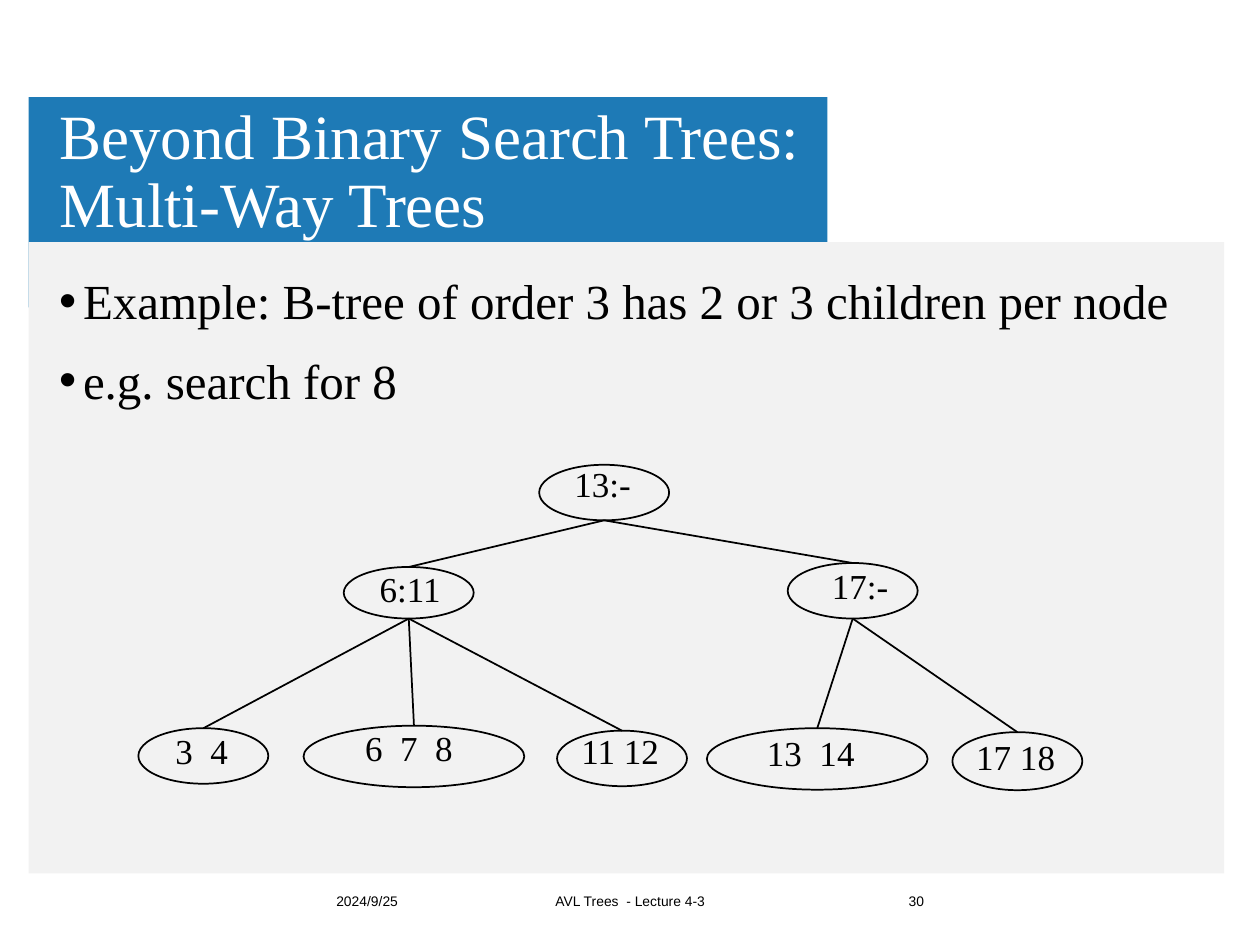
from lxml import etree
from pptx import Presentation
from pptx.dml.color import RGBColor
from pptx.enum.shapes import MSO_CONNECTOR, MSO_SHAPE
from pptx.enum.text import MSO_ANCHOR, MSO_AUTO_SIZE, PP_ALIGN
from pptx.oxml.ns import qn
from pptx.util import Cm, Pt

RECT, OVAL = MSO_SHAPE.RECTANGLE, MSO_SHAPE.OVAL
STRAIGHT = MSO_CONNECTOR.STRAIGHT
MIDDLE, TOP = MSO_ANCHOR.MIDDLE, MSO_ANCHOR.TOP
LEFT, CENTER, RIGHT = PP_ALIGN.LEFT, PP_ALIGN.CENTER, PP_ALIGN.RIGHT
SERIF, SANS = "Times New Roman", "Arial"
COLORS = {"band": "1E7AB6", "panel": "F2F2F2", "title": "FFFFFF", "ink": "000000"}


def color(name):
    return RGBColor.from_string(COLORS[name])


def add_run(p, text, size, font=SERIF, ink="ink"):
    r = p.add_run()
    r.text = text
    r.font.size = Pt(size)
    r.font.name = font
    r.font.color.rgb = color(ink)


prs = Presentation()
prs.slide_width, prs.slide_height = Cm(25.4), Cm(19.05)
s = prs.slides.add_slide(prs.slide_layouts[1])
title, body = s.shapes.title, s.placeholders[1]

# Background blocks, placed behind the placeholders
blocks = [("band", 0.58, 1.96, 16.1, 4.24), ("panel", 0.58, 4.88, 24.1, 12.73)]
for i, (name, *box) in enumerate(blocks):
    sp = s.shapes.add_shape(RECT, *map(Cm, box))
    sp.shadow.inherit = False
    sp.fill.solid()
    sp.fill.fore_color.rgb = color(name)
    sp.line.fill.background()
    s.shapes._spTree.insert(2 + i, sp._element)

# Title
title.left, title.top, title.width, title.height = map(Cm, (1.02, 2.49, 16.23, 2))
tf = title.text_frame
tf.auto_size = MSO_AUTO_SIZE.NONE
tf.word_wrap = True
tf.vertical_anchor = MIDDLE
tf.margin_left = tf.margin_right = Cm(0.18)
tf.margin_top = tf.margin_bottom = Cm(0.1)
p = tf.paragraphs[0]
p.alignment = LEFT
p.line_spacing = 0.9
add_run(p, "Beyond Binary Search Trees: Multi-Way Trees", 36, ink="title")

# Bullet list
body.left, body.top, body.width, body.height = map(Cm, (0.94, 5.33, 23.83, 3.5))
tf = body.text_frame
tf.auto_size = MSO_AUTO_SIZE.NONE
tf.word_wrap = True
bullets = ["Example: B-tree of order 3 has 2 or 3 children per node", "e.g. search for 8"]
for i, text in enumerate(bullets):
    p = tf.add_paragraph() if i else tf.paragraphs[0]
    pPr = p._p.get_or_add_pPr()
    pPr.set("marL", str(Cm(0.48)))
    pPr.set("indent", str(-Cm(0.48)))
    etree.SubElement(pPr, qn("a:buChar"), char="•")
    p.space_before = Pt(12 if i else 0)
    add_run(p, text, 28)

# Tree nodes: oval (left, top, width, height) and label (left, top, width)
nodes = {
    "13:-": ((10.87, 9.37, 2.62, 1.12), (11.4, 9.45, 1.5)),
    "6:11": ((6.93, 11.43, 2.62, 1.04), (7.32, 11.58, 1.9)),
    "17:-": ((15.88, 11.35, 2.62, 1.12), (16.54, 11.51, 1.6)),
    "3  4": ((2.79, 14.68, 2.62, 1.12), (3.43, 14.83, 1.27)),
    "6  7  8": ((6.12, 14.63, 4.45, 1.24), (7.19, 14.78, 2.11)),
    "11 12": ((11.23, 14.73, 2.62, 1.12), (11.3, 14.83, 2.41)),
    "13  14": ((14.25, 14.68, 4.45, 1.24), (15.29, 14.88, 2.11)),
    "17 18": ((19.2, 14.76, 2.62, 1.17), (19.51, 14.96, 1.93)),
}
children = {
    "13:-": ["6:11", "17:-"],
    "6:11": ["3  4", "6  7  8", "11 12"],
    "17:-": ["13  14", "17 18"],
}
ovals = {}
for key, (box, _) in nodes.items():
    sp = s.shapes.add_shape(OVAL, *map(Cm, box))
    sp.shadow.inherit = False
    sp.fill.background()
    sp.line.color.rgb = color("ink")
    sp.line.width = Pt(1)
    ovals[key] = sp

for parent, kids in children.items():
    sp = ovals[parent]
    x, y = sp.left + sp.width // 2, sp.top + sp.height
    for kid in kids:
        edge = s.shapes.add_connector(STRAIGHT, x, y, x, y)
        edge.end_connect(ovals[kid], 0)
        edge.line.color.rgb = color("ink")
        edge.line.width = Pt(1)
        etree.SubElement(edge._element.spPr, qn("a:effectLst"))

for key, (_, (left, top, width)) in nodes.items():
    tf = s.shapes.add_textbox(Cm(left), Cm(top), Cm(width), Cm(0.84)).text_frame
    tf.margin_left = tf.margin_right = tf.margin_top = tf.margin_bottom = 0
    tf.word_wrap = True
    tf.vertical_anchor = TOP
    p = tf.paragraphs[0]
    p.alignment = CENTER
    p.line_spacing = 0.85
    add_run(p, key, 20)

# Footer
footers = [
    ("2024/9/25", 6.53, 3.23, LEFT),
    ("AVL Trees  - Lecture 4-3", 10.29, 4.83, CENTER),
    ("30", 15.65, 3.23, RIGHT),
]
for text, left, width, align in footers:
    tf = s.shapes.add_textbox(Cm(left), Cm(17.65), Cm(width), Cm(1.02)).text_frame
    tf.word_wrap = True
    tf.vertical_anchor = MIDDLE
    p = tf.paragraphs[0]
    p.alignment = align
    add_run(p, text, 7.9, SANS)

prs.save("out.pptx")
